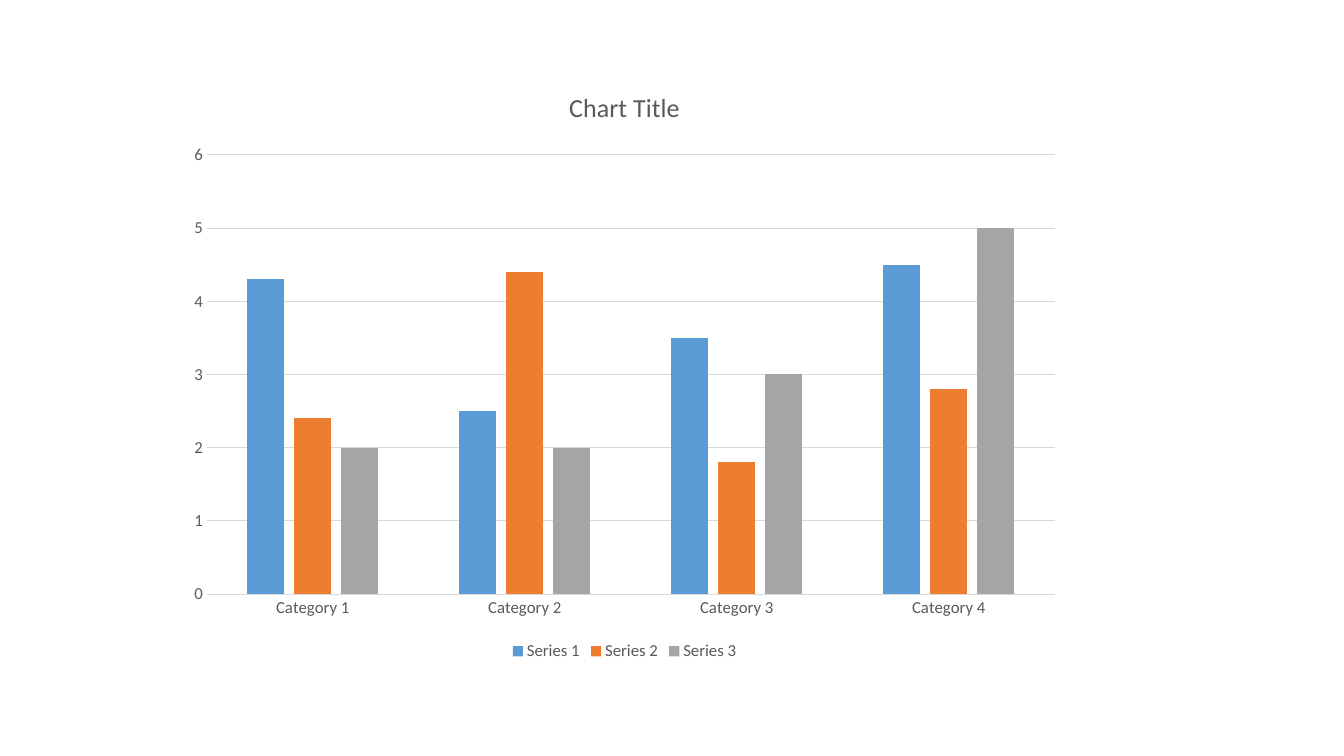
from pptx import Presentation
from pptx import util as u
from pptx.chart.data import CategoryChartData
from pptx.dml.color import RGBColor
from pptx.enum import chart as kinds

COLORS = {"text": "595959", "line": "D9D9D9"}
CATEGORIES = [f"Category {number}" for number in range(1, 5)]
SERIES = {
    "Series 1": ("5B9BD5", (4.3, 2.5, 3.5, 4.5)),
    "Series 2": ("ED7D31", (2.4, 4.4, 1.8, 2.8)),
    "Series 3": ("A5A5A5", (2, 2, 3, 5)),
}


def style_font(font, size):
    font.name = "Calibri"
    font.size = u.Pt(size)
    font.bold = False
    font.color.rgb = RGBColor.from_string(COLORS["text"])


def style_line(line):
    line.width = u.Pt(0.75)
    line.color.rgb = RGBColor.from_string(COLORS["line"])


def add_column_chart(page, left, top, width, height):
    data = CategoryChartData()
    data.categories = CATEGORIES
    for name, (_, values) in SERIES.items():
        data.add_series(name, values)
    box = [u.Inches(length) for length in (left, top, width, height)]
    chart = page.shapes.add_chart(
        kinds.XL_CHART_TYPE.COLUMN_CLUSTERED, *box, data).chart
    style_font(chart.font, 12)

    # Title
    chart.has_title = True
    para = chart.chart_title.text_frame.paragraphs[0]
    span = para.add_run()
    span.text = "Chart Title"
    style_font(span.font, 18.6)
    chart.chart_title.include_in_layout = False

    # Legend
    chart.has_legend = True
    chart.legend.position = kinds.XL_LEGEND_POSITION.BOTTOM
    chart.legend.include_in_layout = False
    style_font(chart.legend.font, 12)

    # Axes and gridlines
    for axis in (chart.category_axis, chart.value_axis):
        axis.major_tick_mark = kinds.XL_TICK_MARK.NONE
        axis.minor_tick_mark = kinds.XL_TICK_MARK.NONE
        style_font(axis.tick_labels.font, 12)
    style_line(chart.category_axis.format.line)
    chart.value_axis.format.line.fill.background()
    chart.value_axis.has_major_gridlines = True
    style_line(chart.value_axis.major_gridlines.format.line)
    chart.value_axis.minimum_scale = 0
    chart.value_axis.maximum_scale = 6
    chart.value_axis.major_unit = 1

    # Columns
    plot = chart.plots[0]
    plot.gap_width = 219
    plot.overlap = -27
    plot.vary_by_categories = False
    for series, (color, _) in zip(plot.series, SERIES.values()):
        series.format.fill.solid()
        series.format.fill.fore_color.rgb = RGBColor.from_string(color)


deck = Presentation()
deck.slide_width = u.Inches(13.33)
deck.slide_height = u.Inches(7.5)
page = deck.slides.add_slide(deck.slide_layouts.get_by_name("Blank"))
add_column_chart(page, 1.75, 0.67, 8.89, 5.93)
deck.save("out.pptx")
